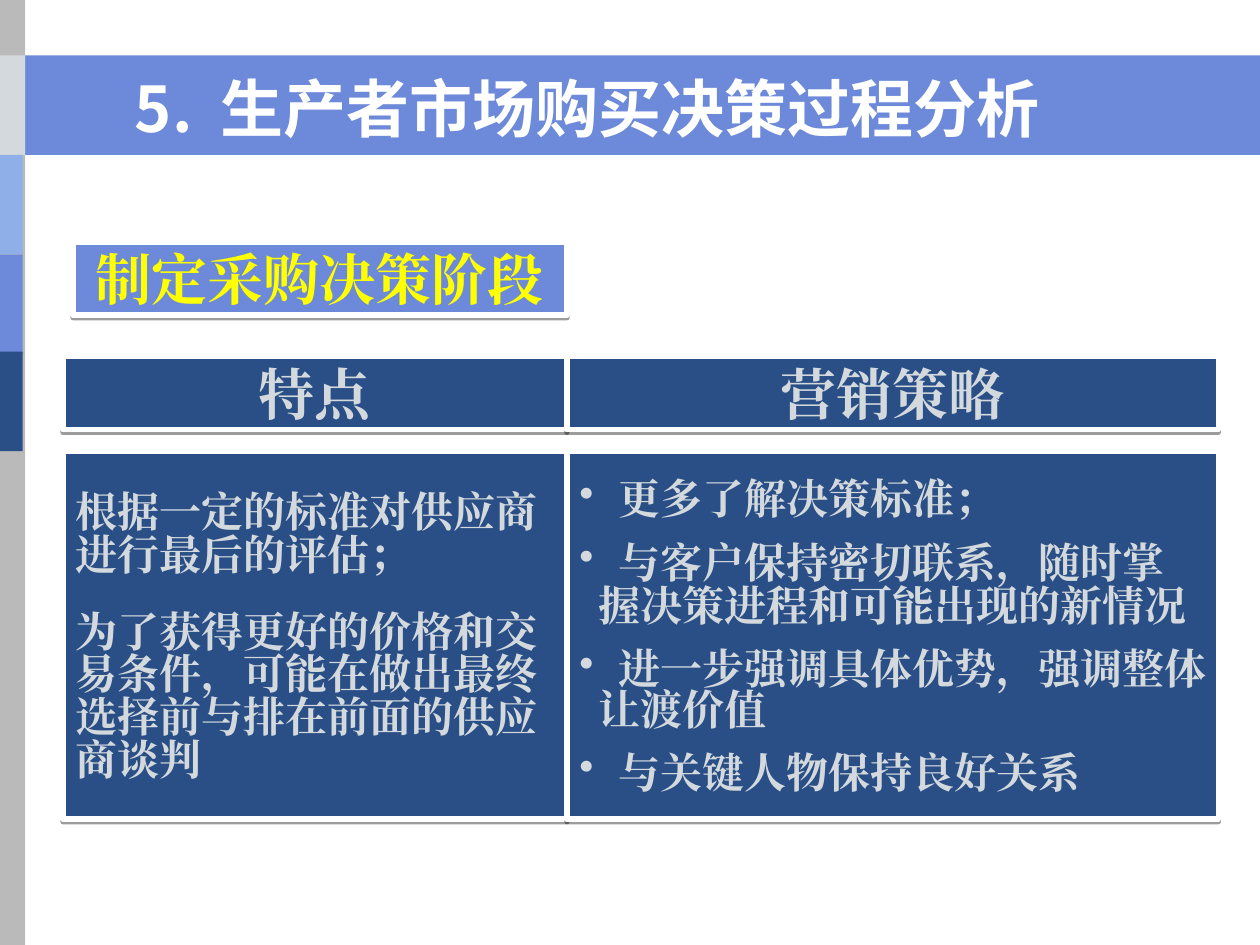
"""Build a slide on the purchase-decision stage of the producer market."""
from lxml import etree
from pptx import Presentation
from pptx.dml.color import RGBColor
from pptx.enum import shapes, text
from pptx.oxml import ns
from pptx.util import Inches, Pt

NAVY, BLUE, PALE, WHITE = "2A4F86", "6C89DA", "D3D9DD", "FFFFFF"
CENTER, LEFT = text.PP_ALIGN.CENTER, text.PP_ALIGN.LEFT


def add_block(left, top, width, height, color, panel=False):
    block = slide.shapes.add_shape(
        shapes.MSO_SHAPE.RECTANGLE, Inches(left), Inches(top), Inches(width), Inches(height))
    block.shadow.inherit = False
    block.fill.solid()
    block.fill.fore_color.rgb = RGBColor.from_string(color)
    if not panel:
        block.line.fill.background()
        return block
    block.line.color.rgb = RGBColor.from_string(WHITE)
    block.line.width = Pt(3)
    effects = block._element.spPr.find(ns.qn("a:effectLst"))
    shadow = etree.SubElement(effects, ns.qn("a:outerShdw"), blurRad="0",
                              dist=str(Pt(1.6)), dir="5400000", rotWithShape="0")
    shade = etree.SubElement(shadow, ns.qn("a:srgbClr"), val="000000")
    etree.SubElement(shade, ns.qn("a:alpha"), val="38000")
    return block


def write_text(frame, lines, size=24, color=PALE, font="Times New Roman", align=LEFT,
               anchor=text.MSO_ANCHOR.MIDDLE, right=0.1):
    frame.word_wrap = True
    frame.vertical_anchor = anchor
    frame.margin_left, frame.margin_right = Inches(0.1), Inches(right)
    frame.margin_top = frame.margin_bottom = Inches(0.05)
    for number, (runs, spacing, before, bullet, indent) in enumerate(lines):
        paragraph = frame.add_paragraph() if number else frame.paragraphs[0]
        paragraph.alignment = align
        paragraph.line_spacing = spacing
        paragraph.space_before = Pt(before)
        properties = paragraph._p.get_or_add_pPr()
        properties.set("marL", str(Inches(indent)))
        properties.set("indent", str(-Inches(indent) if bullet else 0))
        if bullet:
            tint = etree.SubElement(properties, ns.qn("a:buClr"))
            etree.SubElement(tint, ns.qn("a:srgbClr"), val=color)
            etree.SubElement(properties, ns.qn("a:buChar"), char="•")
        for words in runs:
            run = paragraph.add_run()
            run.text = words
            run.font.size = Pt(size)
            run.font.bold = True
            run.font.color.rgb = RGBColor.from_string(color)
            run.font.name = font
            etree.SubElement(run._r.get_or_add_rPr(), ns.qn("a:ea"), typeface=font)


deck = Presentation()
deck.slide_width, deck.slide_height = Inches(10), Inches(7.5)
slide = deck.slides.add_slide(deck.slide_layouts[5])

for left, top, width, height, color in [
    (0, 0.44, 10, 0.79, BLUE),
    (-0.01, 0, 0.21, 7.5, "BABABA"),
    (0, 0.44, 0.2, 0.79, PALE),
    (-0.02, 1.23, 0.2, 0.79, "8FAFE9"),
    (-0.02, 2.02, 0.2, 0.79, BLUE),
    (-0.02, 2.79, 0.2, 0.79, NAVY),
]:
    add_block(left, top, width, height, color)

stage = add_block(0.58, 1.92, 3.92, 0.58, BLUE, panel=True)
write_text(stage.text_frame, [(["制定采购决策阶段"], 1.0, 0, False, 0)],
           size=32, color="FFFF00", align=CENTER)

features = [
    (["根据一定的标准对供应商"], 1.0, 0, False, 0),
    (["进行最后的评估；"], 0.85, 0, False, 0),
    (["为了获得更好的价格和交"], 1.1, 12, False, 0),
    (["易条件，可能在做出最终"], 0.85, 0, False, 0),
    (["选择前与排在前面的供应"], 0.85, 0, False, 0),
    (["商谈判"], 0.85, 0, False, 0),
]
strategies = [
    (["更多了解决策标准；"], 1.0, 0, True, 0.31),
    (["与客户保持密切联系，随时掌"], 1.0, 7.5, True, 0.31),
    (["握决策进程和可能出现的新情况"], 0.85, 0, False, 0.15),
    (["进一步强调具体优势，强调整体"], 1.0, 7.5, True, 0.31),
    (["让渡价值"], 0.8, 0, False, 0.15),
    (["与关键人物保持良好关系"], 1.0, 7.5, True, 0.31),
]
for left, width, heading, points in [
    (0.5, 4, "特点", features),
    (4.5, 5.17, "营销策略", strategies),
]:
    header = add_block(left, 2.83, width, 0.58, NAVY, panel=True)
    write_text(header.text_frame, [([heading], 1.0, 0, False, 0)], size=32, align=CENTER)
    body = add_block(left, 3.58, width, 2.92, NAVY, panel=True)
    write_text(body.text_frame, points, right=0)

title = slide.shapes.title
title.left, title.top, title.width, title.height = map(Inches, (0.97, 0.5, 8.2, 0.7))
write_text(title.text_frame, [(["5.", " ", "生产者市场购买决策过程分析"], 1.0, 0, False, 0)],
           size=36, color=WHITE, font="Noto Sans CJK SC", anchor=text.MSO_ANCHOR.BOTTOM)
title.text_frame.auto_size = text.MSO_AUTO_SIZE.SHAPE_TO_FIT_TEXT
title.text_frame.paragraphs[0].runs[1]._r.get_or_add_rPr().set("spc", "800")
slide.shapes._spTree.append(title._element)

deck.save("out.pptx")
